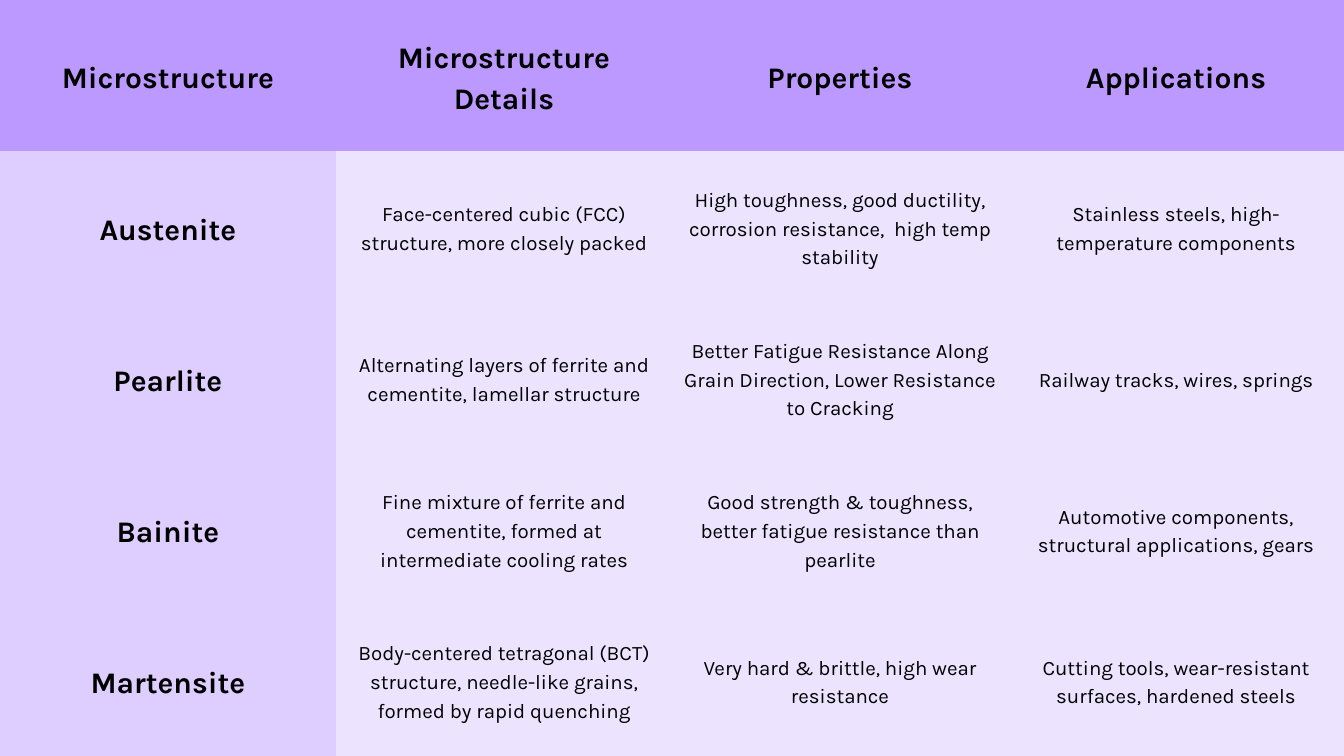
from lxml import etree
from pptx import Presentation
from pptx import util as u
from pptx.dml.color import RGBColor
from pptx.enum import text
from pptx.oxml import ns

ROWS = [
    ("Microstructure", "Microstructure Details", "Properties", "Applications"),
    ("Austenite",
     "Face-centered cubic (FCC) structure, more closely packed",
     "High toughness, good ductility, corrosion resistance,  high temp stability",
     "Stainless steels, high-temperature components"),
    ("Pearlite",
     "Alternating layers of ferrite and cementite, lamellar structure",
     "Better Fatigue Resistance Along Grain Direction, Lower Resistance to Cracking",
     "Railway tracks, wires, springs"),
    ("Bainite",
     "Fine mixture of ferrite and cementite, formed at intermediate cooling rates",
     "Good strength & toughness, better fatigue resistance than pearlite",
     "Automotive components, structural applications, gears"),
    ("Martensite",
     "Body-centered tetragonal (BCT) structure, needle-like grains, formed by rapid quenching",
     "Very hard & brittle, high wear resistance",
     "Cutting tools, wear-resistant surfaces, hardened steels"),
]

BLACK = RGBColor(0x00, 0x00, 0x00)
VIOLET = RGBColor(0xBB, 0x99, 0xFF)
LILAC = RGBColor(0xDE, 0xCD, 0xFF)
PALE = RGBColor(0xEC, 0xE3, 0xFF)

WIDE, HIGH = u.Cm(50.8), u.Cm(28.58)
PAD = u.Cm(0.41)
LEAD = 1.4
CELL = {
    "margin_left": PAD, "margin_right": PAD,
    "margin_top": PAD, "margin_bottom": PAD,
    "vertical_anchor": text.MSO_ANCHOR.MIDDLE,
}
HEAD = {"name": "Karla", "size": u.Pt(32), "bold": True}
BODY = {"name": "Karla", "size": u.Pt(22), "bold": False}


def apply(item, form):
    for key, val in form.items():
        setattr(item, key, val)


def border(cell):
    props = cell._tc.get_or_add_tcPr()
    for side in ("lnL", "lnR", "lnT", "lnB"):
        line = etree.SubElement(props, ns.qn("a:" + side), w="0")
        fill = etree.SubElement(line, ns.qn("a:solidFill"))
        etree.SubElement(fill, ns.qn("a:srgbClr"), val=str(VIOLET))


def write(cell, words, tint, form):
    apply(cell, CELL)
    border(cell)
    cell.fill.solid()
    cell.fill.fore_color.rgb = tint
    cell.text = words
    para = cell.text_frame.paragraphs[0]
    para.alignment = text.PP_ALIGN.CENTER
    para.line_spacing = u.Pt(form["size"].pt * LEAD)
    font = para.runs[0].font
    apply(font, form)
    font.color.rgb = BLACK


def main():
    deck = Presentation()
    deck.slide_width, deck.slide_height = WIDE, HIGH
    slide = deck.slides.add_slide(deck.slide_layouts[6])
    grid = slide.shapes.add_table(len(ROWS), len(ROWS[0]), 0, 0, WIDE, HIGH).table
    grid.horz_banding = False
    for r, row in enumerate(ROWS):
        for c, words in enumerate(row):
            tint = VIOLET if r == 0 else LILAC if c == 0 else PALE
            write(grid.cell(r, c), words, tint, BODY if r and c else HEAD)
    deck.save("out.pptx")


if __name__ == "__main__":
    main()
